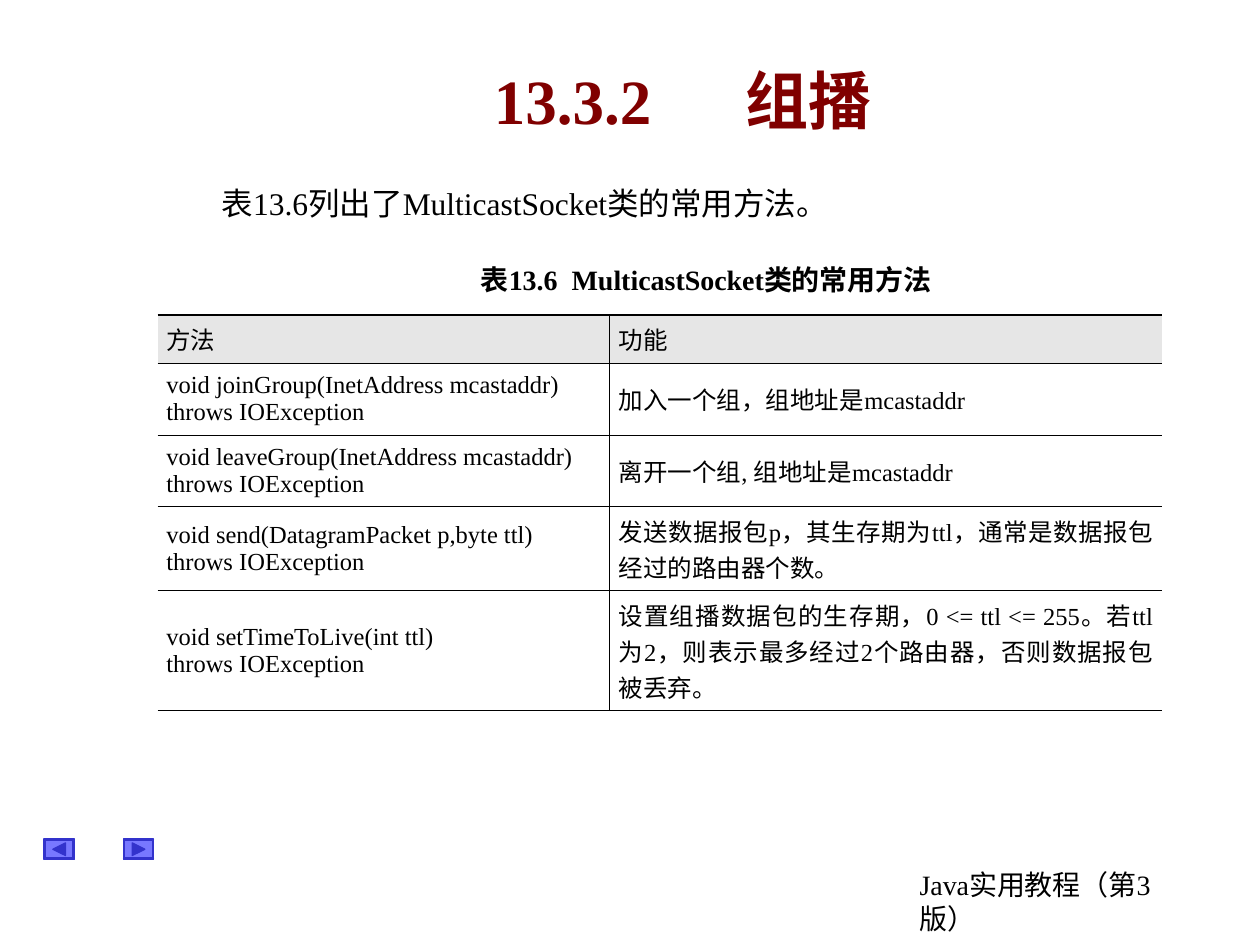
from pptx import Presentation
from pptx.dml.color import RGBColor
from pptx.enum.shapes import MSO_SHAPE as Shape
from pptx.enum.text import MSO_ANCHOR as Anchor, MSO_AUTO_SIZE as AutoSize, PP_ALIGN as Align
from pptx.oxml import parse_xml
from pptx.oxml.ns import nsdecls, qn
from pptx.util import Inches, Pt
from lxml import etree

THEME = {
    "font": "Times New Roman",
    "title": 36, "lead": 18, "caption": 16, "cell": 14,
    "text": "000000", "heading": "800000", "header_fill": "E6E6E6",
    "button_fill": "0000FF", "button_line": "3333CC",
    "thin": 0.45, "thick": 0.75,
}

presentation = Presentation()
presentation.slide_width, presentation.slide_height = Inches(10), Inches(7.5)
column, row = presentation.slide_width / 100, presentation.slide_height / 100
slide = presentation.slides.add_slide(presentation.slide_layouts[5])


def place(left, top, width, height):
    """Turn percentages of the slide into lengths."""
    return int(left * column), int(top * row), int(width * column), int(height * row)


def write(text_frame, text, size, color="text", bold=False, align=Align.LEFT):
    text_frame.text = text
    for paragraph in text_frame.paragraphs:
        paragraph.alignment = align
        for run in paragraph.runs:
            run.font.name = THEME["font"]
            run.font.size = Pt(THEME[size])
            run.font.bold = bold
            run.font.color.rgb = RGBColor.from_string(THEME[color])


# Title, with a tab between number and name
title = slide.shapes.title
title.left, title.top, title.width, title.height = place(11.7, 5.5, 85, 10)
title.text_frame.vertical_anchor = Anchor.MIDDLE
write(title.text_frame, "13.3.2\t组播", "title", "heading", True, Align.CENTER)
properties = title.text_frame.paragraphs[0]._p.get_or_add_pPr()
tabs = etree.SubElement(properties, qn("a:tabLst"))
etree.SubElement(tabs, qn("a:tab"), pos=str(Inches(2)), algn="l")

# Lead sentence, table caption and footer
for area, text, size, bold, align, anchor, wrap in (
    ((15.4, 18.8, 52.5, 5.33), "表13.6列出了MulticastSocket类的常用方法。",
     "lead", False, Align.CENTER, Anchor.MIDDLE, False),
    ((32, 27.13, 48.1, 4.93), "表13.6  MulticastSocket类的常用方法",
     "caption", True, Align.CENTER, Anchor.TOP, True),
    ((72, 91.15, 24.4, 8.53), "Java实用教程（第3版）",
     "caption", False, Align.LEFT, Anchor.TOP, True),
):
    text_frame = slide.shapes.add_textbox(*place(*area)).text_frame
    text_frame.word_wrap = wrap
    text_frame.auto_size = AutoSize.SHAPE_TO_FIT_TEXT
    text_frame.vertical_anchor = anchor
    write(text_frame, text, size, bold=bold, align=align)

# Method table, each row tall enough for its text
ROWS = [
    (5.1, "方法", "功能"),
    (7.6, "void joinGroup(InetAddress mcastaddr)\nthrows IOException",
     "加入一个组，组地址是mcastaddr"),
    (7.6, "void leaveGroup(InetAddress mcastaddr)\nthrows IOException",
     "离开一个组, 组地址是mcastaddr"),
    (8.9, "void send(DatagramPacket p,byte ttl)\nthrows IOException",
     "发送数据报包p，其生存期为ttl，通常是数据报包经过的路由器个数。"),
    (12.7, "void setTimeToLive(int ttl)\nthrows IOException",
     "设置组播数据包的生存期，0 <= ttl <= 255。若ttl为2，则表示最多经过2个路由器，否则数据报包被丢弃。"),
]
table_height = sum(height for height, *texts in ROWS)
table = slide.shapes.add_table(
    len(ROWS), 2, *place(12.5, 33.33, 79.7, table_height)).table
table.first_row = table.horz_banding = False
for table_column, share in zip(table.columns, (35.9, 43.8)):
    table_column.width = int(share * column)

for r, (height, *texts) in enumerate(ROWS):
    table.rows[r].height = int(height * row)
    for c, text in enumerate(texts):
        cell = table.cell(r, c)
        cell.vertical_anchor = Anchor.MIDDLE
        cell.margin_left = cell.margin_right = Inches(0.07)
        cell.margin_top = cell.margin_bottom = Inches(0.05)
        write(cell.text_frame, text, "cell", align=Align.JUSTIFY)
        if r == 0:
            cell.fill.solid()
            cell.fill.fore_color.rgb = RGBColor.from_string(THEME["header_fill"])
        else:
            cell.fill.background()
        # Open sides, thicker top edge
        borders = {
            "lnL": THEME["thin"] if c == 1 else 0,
            "lnR": THEME["thin"] if c == 0 else 0,
            "lnT": THEME["thick"] if r == 0 else THEME["thin"],
            "lnB": THEME["thin"],
        }
        for index, (side, width) in enumerate(borders.items()):
            paint = (f'<a:solidFill><a:srgbClr val="{THEME["text"]}"/></a:solidFill>'
                     if width else "<a:noFill/>")
            cell._tc.get_or_add_tcPr().insert(index, parse_xml(
                f'<a:{side} {nsdecls("a")} w="{Pt(width)}">{paint}</a:{side}>'))

# Navigation buttons: a bevelled frame with an arrow that points back or forward
for left, tail, tip in ((3.5, 5.2, 4.2), (9.8, 10.5, 11.5)):
    button = slide.shapes.add_shape(Shape.BEVEL, *place(left, 88.8, 2.4, 2.13))
    button.adjustments[0] = 0.06
    builder = slide.shapes.build_freeform(
        int(tail * column), int(89.2 * row))
    builder.add_line_segments(
        [(int(tip * column), int(89.87 * row)), (int(tail * column), int(90.53 * row))])
    arrow = builder.convert_to_shape()
    for shape, fill in ((button, "button_fill"), (arrow, "button_line")):
        shape.shadow.inherit = False
        shape.fill.solid()
        shape.fill.fore_color.rgb = RGBColor.from_string(THEME[fill])
        shape.line.color.rgb = RGBColor.from_string(THEME["button_line"])
        shape.line.width = Pt(THEME["thick"])
    fill_color = button._element.spPr.find(qn("a:solidFill"))[0]
    etree.SubElement(fill_color, qn("a:alpha"), val="53000")

presentation.save("out.pptx")
